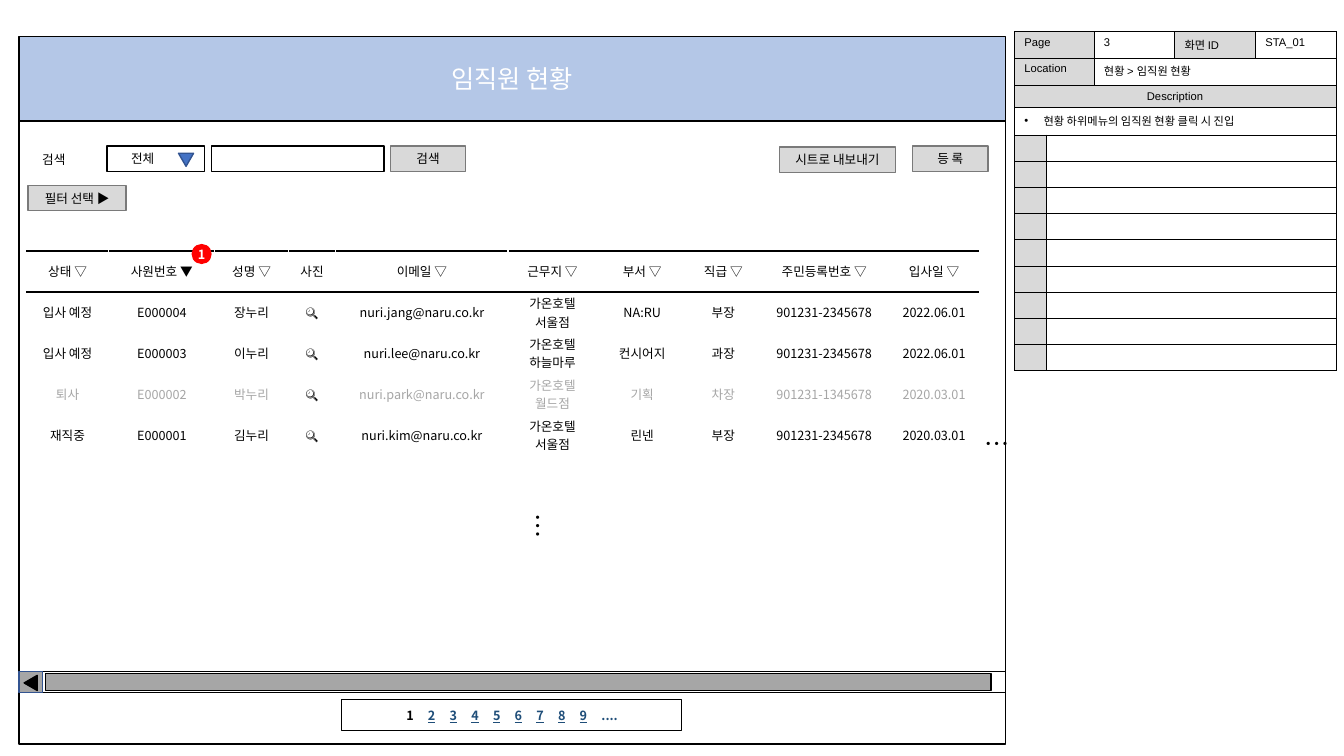
from lxml.etree import SubElement
from pptx import Presentation
from pptx.dml.color import RGBColor
from pptx.enum.shapes import MSO_SHAPE as SHAPE
from pptx.enum.text import MSO_ANCHOR as ANCHOR, PP_ALIGN as ALIGN
from pptx.oxml.ns import qn
from pptx.util import Inches, Pt

COLORS = {"black": "000000", "white": "FFFFFF", "button": "D9D9D9", "edge": "7A7A7A",
          "gray": "A6A6A6", "title": "B4C7E7", "blue": "4472C4", "navy": "325491",
          "link": "1F4E79", "red": "FF0000"}
KOREAN, LATIN = "Noto Sans CJK KR", "Arial"
NO_STYLE = "{2D5ABB26-0587-4C30-8999-92F81FD0307C}"

TITLE = "임직원 현황"
BUTTONS = [("검색", 3.87, 1.45, 0.75), ("시트로 내보내기", 7.73, 1.46, 1.15),
           ("등 록", 9.05, 1.45, 0.75), ("필터 선택 ▶", 0.28, 1.84, 0.97)]
PAGES = list("123456789") + ["...."]
PAGE_STEP = 0.215

INFO_COLUMNS = [0.32, 0.47, 0.8, 0.8, 0.8]
INFO_HEIGHTS = [0.26, 0.27, 0.22, 0.27] + [0.26] * 9
INFO_CELLS = [
    (0, 0, 1, "Page", "button"), (0, 2, 2, "3", "white"),
    (0, 3, 3, "화면 ID", "button"), (0, 4, 4, "STA_01", "white"),
    (1, 0, 1, "Location", "button"), (1, 2, 4, "현황 > 임직원 현황", "white"),
    (2, 0, 4, "Description", "button"),
    (3, 0, 4, "현황 하위메뉴의 임직원 현황 클릭 시 진입", "white"),
]
for blank_row in range(4, 13):
    INFO_CELLS += [(blank_row, 0, 0, "", "button"), (blank_row, 1, 4, "", "white")]

STAFF_COLUMNS = [0.82, 1.05, 0.73, 0.47, 1.71, 0.88, 0.9, 0.71, 1.29, 0.89]
STAFF_ROWS = 10
STAFF_HEIGHT = 0.406
GAP_COLUMNS = 4
PHOTO_COLUMN = 3
STAFF = [
    ["상태 ▽", "사원번호 ▼", "성명 ▽", "사진", "이메일 ▽", "근무지 ▽", "부서 ▽",
     "직급 ▽", "주민등록번호 ▽", "입사일 ▽"],
    ["입사 예정", "E000004", "장누리", "🔍", "nuri.jang@naru.co.kr", "가온호텔\n서울점",
     "NA:RU", "부장", "901231-2345678", "2022.06.01"],
    ["입사 예정", "E000003", "이누리", "🔍", "nuri.lee@naru.co.kr", "가온호텔\n하늘마루",
     "컨시어지", "과장", "901231-2345678", "2022.06.01"],
    ["퇴사", "E000002", "박누리", "🔍", "nuri.park@naru.co.kr", "가온호텔\n월드점",
     "기획", "차장", "901231-1345678", "2020.03.01"],
    ["재직중", "E000001", "김누리", "🔍", "nuri.kim@naru.co.kr", "가온호텔\n서울점",
     "린넨", "부장", "901231-2345678", "2020.03.01"],
]


def rgb(name):
    return RGBColor.from_string(COLORS[name])


def add_run(paragraph, text, size=9, font=KOREAN, color="black", bold=False, underline=False):
    run = paragraph.add_run()
    run.text = text
    run.font.size, run.font.name = Pt(size), font
    run.font.bold, run.font.underline = bold, underline
    run.font.color.rgb = rgb(color)
    SubElement(run.font._element, qn("a:ea"), typeface=KOREAN)


def write(frame, text, align=ALIGN.LEFT, **style):
    for index, line in enumerate(text.split("\n")):
        paragraph = frame.add_paragraph() if index else frame.paragraphs[0]
        paragraph.alignment = align
        if line:
            add_run(paragraph, line, **style)
        else:
            paragraph._p.get_or_add_endParaRPr().set("sz", str(style.get("size", 9) * 100))


def add_box(left, top, width, height, fill=None, line="black", kind=SHAPE.RECTANGLE,
            text="", rotation=0, **style):
    shape = slide.shapes.add_shape(kind, Inches(left), Inches(top), Inches(width), Inches(height))
    shape.shadow.inherit = False
    shape.rotation = rotation
    if fill:
        shape.fill.solid()
        shape.fill.fore_color.rgb = rgb(fill)
    else:
        shape.fill.background()
    if line:
        shape.line.color.rgb = rgb(line)
        shape.line.width = Pt(1)
    else:
        shape.line.fill.background()
    if text:
        shape.text_frame.word_wrap = False
        shape.text_frame.vertical_anchor = ANCHOR.MIDDLE
        write(shape.text_frame, text, align=ALIGN.CENTER, **style)
    return shape


def add_label(text, left, top, width, height, rotation=0, inset=0.1, **style):
    label = slide.shapes.add_textbox(Inches(left), Inches(top), Inches(width), Inches(height))
    label.rotation = rotation
    label.text_frame.word_wrap = False
    label.text_frame.margin_left = Inches(inset)
    write(label.text_frame, text, **style)


def add_grid(left, top, columns, heights):
    frame = slide.shapes.add_table(len(heights), len(columns), Inches(left), Inches(top),
                                   Inches(sum(columns)), Inches(sum(heights)))
    table = frame.table
    table.first_row = table.horz_banding = False
    table._tbl.tblPr.find(qn("a:tableStyleId")).text = NO_STYLE
    for column, width in zip(table.columns, columns):
        column.width = Inches(width)
    for row, height in zip(table.rows, heights):
        row.height = Inches(height)
    return table


def set_cell(cell, fill, borders, width):
    properties = cell._tc.get_or_add_tcPr()
    for side in "LRTB":
        if side in borders:
            line = SubElement(properties, qn(f"a:ln{side}"), w=str(Pt(width)))
            paint = SubElement(line, qn("a:solidFill"))
            SubElement(paint, qn("a:srgbClr"), val=COLORS[borders[side]])
    cell.fill.solid()
    cell.fill.fore_color.rgb = rgb(fill)


presentation = Presentation()
presentation.slide_width, presentation.slide_height = Inches(13.33), Inches(7.5)
slide = presentation.slides.add_slide(presentation.slide_layouts[6])

add_box(0.19, 1.2, 9.78, 6.18, "white")

info = add_grid(10.06, 0.31, INFO_COLUMNS, INFO_HEIGHTS)
for row, first, last, text, fill in INFO_CELLS:
    for column in range(first, last + 1):
        set_cell(info.cell(row, column), fill, dict.fromkeys("LRTB", "black"), 0.25)
    cell = info.cell(row, first)
    if last > first:
        cell.merge(info.cell(row, last))
    write(cell.text_frame, text, align=ALIGN.CENTER if row == 2 else ALIGN.LEFT,
          size=8, font=LATIN)
bullet = info.cell(3, 0).text_frame.paragraphs[0]._p.get_or_add_pPr()
bullet.set("marL", str(Inches(0.19)))
bullet.set("indent", str(Inches(-0.19)))
SubElement(bullet, qn("a:buFont"), typeface=LATIN)
SubElement(bullet, qn("a:buChar"), char="•")

add_label("검색", 0.32, 1.46, 0.45, 0.25)
add_box(2.1, 1.45, 1.71, 0.25, "white")
for text, left, top, width in BUTTONS:
    add_box(left, top, width, 0.25, "button", "edge", text=text)
add_box(1.06, 1.45, 0.97, 0.25, "white")
add_box(1.77, 1.52, 0.15, 0.13, "blue", "navy", SHAPE.ISOSCELES_TRIANGLE, rotation=180)
add_label("전체", 1.06, 1.45, 0.97, 0.25, inset=0.24)

pager = add_box(3.39, 6.94, 3.37, 0.31).text_frame
pager.margin_left, pager.vertical_anchor = Inches(0.64), ANCHOR.MIDDLE
paragraph = pager.paragraphs[0]
paragraph.alignment = ALIGN.LEFT
tabs = SubElement(paragraph._p.get_or_add_pPr(), qn("a:tabLst"))
for index, page in enumerate(PAGES):
    if index:
        SubElement(tabs, qn("a:tab"), pos=str(Inches(PAGE_STEP * index)), algn="l")
        add_run(paragraph, "\t", bold=True)
    add_run(paragraph, page, bold=True, color="link" if index else "black",
            underline=index > 0 and page.isdigit())

add_label("…", 9.67, 4.2, 0.39, 0.4, size=18)
add_box(0.19, 6.66, 9.78, 0.21, "white")
add_box(0.19, 6.66, 0.23, 0.21, "gray", "navy")
add_box(0.23, 6.71, 0.15, 0.13, "black", kind=SHAPE.ISOSCELES_TRIANGLE, rotation=270)
add_box(0.45, 6.68, 9.38, 0.17, "gray")

staff = add_grid(0.26, 2.49, STAFF_COLUMNS, [STAFF_HEIGHT] * STAFF_ROWS)
for row in range(STAFF_ROWS):
    for column in range(len(STAFF_COLUMNS)):
        cell = staff.cell(row, column)
        borders = {"T": "black" if row < 2 else "white", "B": "white" if row else "black"}
        if column < GAP_COLUMNS:
            borders["R"] = "white"
        if 0 < column <= GAP_COLUMNS:
            borders["L"] = "white"
        set_cell(cell, "white", borders, 1)
        cell.margin_left = cell.margin_right = cell.margin_top = cell.margin_bottom = Inches(0.01)
        cell.vertical_anchor = ANCHOR.MIDDLE
        record = STAFF[row] if row < len(STAFF) else [""] * len(STAFF_COLUMNS)
        retired = record[0] == "퇴사" and column != PHOTO_COLUMN
        write(cell.text_frame, record[column], align=ALIGN.CENTER,
              color="gray" if retired else "black")

add_label("…", 5.15, 4.99, 0.39, 0.4, rotation=90, size=18)
badge = add_box(1.9, 2.42, 0.2, 0.2, "red", None, SHAPE.OVAL, text="1", color="white", bold=True)
badge.text_frame.margin_left = badge.text_frame.margin_right = Inches(0.04)
badge.text_frame.margin_top = badge.text_frame.margin_bottom = Inches(0.04)
add_box(0.19, 0.36, 9.78, 0.84, "title", text=TITLE, size=18, color="white")

presentation.save("out.pptx")
